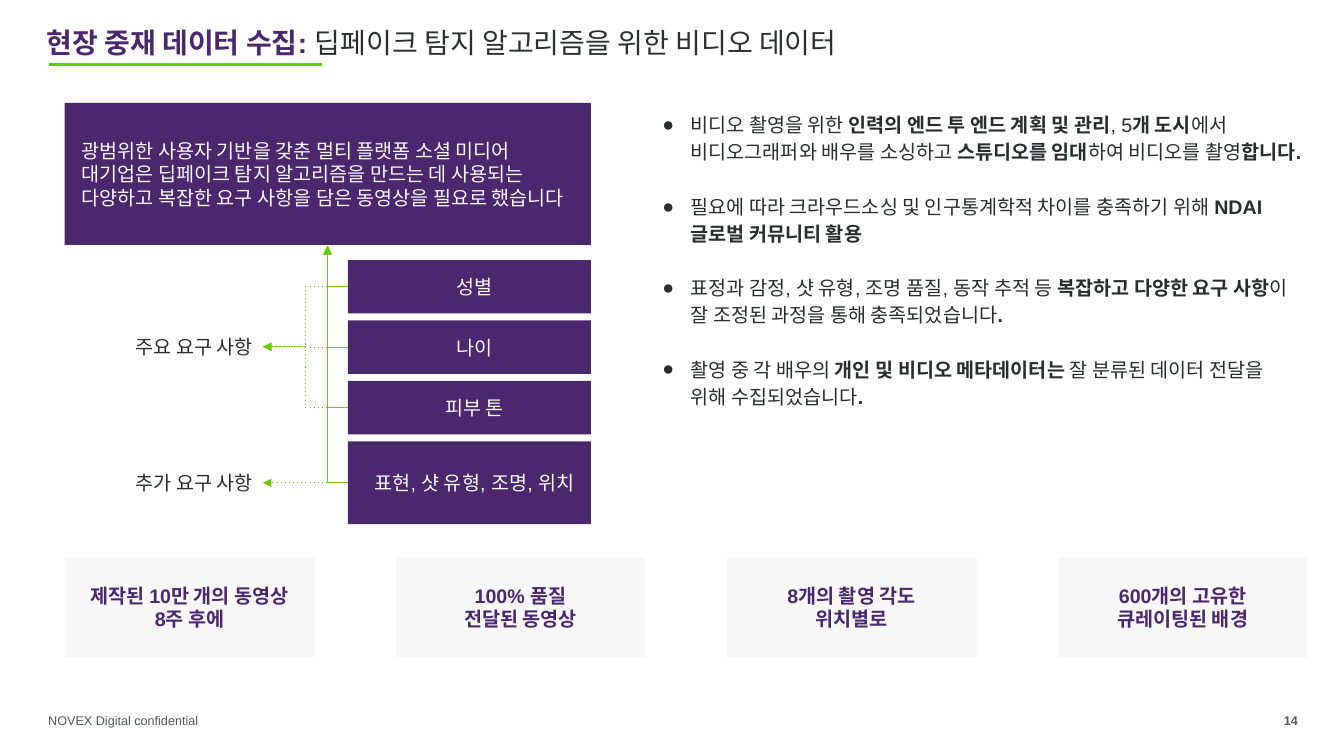
import pptx
import pptx.util
import pptx.dml.color
import pptx.enum.shapes
import pptx.enum.text
import pptx.oxml.ns
from lxml import etree

Inches, Pt = pptx.util.Inches, pptx.util.Pt
RGBColor = pptx.dml.color.RGBColor
ALIGN = pptx.enum.text.PP_ALIGN
ANCHOR = pptx.enum.text.MSO_ANCHOR
qn = pptx.oxml.ns.qn

PURPLE = RGBColor(0x4B, 0x28, 0x6D)
GREEN = RGBColor(0x66, 0xCC, 0x00)
PALE = RGBColor(0xF7, 0xF7, 0xF8)
INK = RGBColor(0x2A, 0x2C, 0x2E)
DARK = RGBColor(0x2C, 0x2E, 0x30)
GRAY = RGBColor(0x54, 0x59, 0x5F)

# Content
TITLE = [("현장 중재 데이터 수집:", True, PURPLE),
         (" 딥페이크 탐지 알고리즘을 위한 비디오 데이터", False, DARK)]
INTRO = ("광범위한 사용자 기반을 갖춘 멀티 플랫폼 소셜 미디어 대기업은 딥페이크 탐지 "
         "알고리즘을 만드는 데 사용되는 다양하고 복잡한 요구 사항을 담은 동영상을 필요로 했습니다")
MAIN = ["성별", "나이", "피부 톤"]
EXTRA = "표현, 샷 유형, 조명, 위치"
LABELS = [("주요 요구 사항", 3.44), ("추가 요구 사항", 4.79)]  # text, centre
POINTS = [  # runs alternate plain, bold
    ["비디오 촬영을 위한", " 인력의 엔드 투 엔드 계획 및 관리", ", 5", "개 도시",
     "에서 비디오그래퍼와 배우를 소싱하고", " 스튜디오를 임대",
     "하여 비디오를 촬영", "합니다."],
    ["필요에 따라 크라우드소싱 및 인구통계학적 차이를 충족하기 위해",
     " NDAI 글로벌 커뮤니티 활용"],
    ["표정과 감정, 샷 유형, 조명 품질, 동작 추적 등", " 복잡하고 다양한 요구 사항",
     "이 잘 조정된 과정을 통해 충족되었습니다", "."],
    ["촬영 중 각 배우의", " 개인 및 비디오 메타데이터는",
     " 잘 분류된 데이터 전달을 위해 수집되었습니다", "."],
]
STATS = [["제작된 10만 개의 동영상", "8주 후에"], ["100% 품질", "전달된 동영상"],
         ["8개의 촬영 각도", "위치별로"], ["600개의 고유한", "큐레이팅된 배경"]]
FOOTER, NUMBER = "NOVEX Digital confidential", "14"

deck = pptx.Presentation()
deck.slide_width, deck.slide_height = Inches(13.33), Inches(7.5)
slide = deck.slides.add_slide(deck.slide_layouts[5])
shapes = slide.shapes


def style(para, size, color, bold=False, align=ALIGN.LEFT):
    para.alignment = align
    font = para.font
    font.name, font.size, font.bold = "Arial", Pt(size), bold
    font.color.rgb = color


def setup(frame, pad, anchor=ANCHOR.MIDDLE, pad_y=None):
    frame.word_wrap = True
    frame.auto_size = pptx.enum.text.MSO_AUTO_SIZE.NONE
    frame.vertical_anchor = anchor
    frame.margin_left = frame.margin_right = Inches(pad)
    frame.margin_top = frame.margin_bottom = Inches(pad if pad_y is None else pad_y)


def write(frame, lines, size, color, bold=False, align=ALIGN.LEFT, indent=0):
    for i, line in enumerate(lines):
        para = frame.add_paragraph() if i else frame.paragraphs[0]
        para.text = line
        if indent:
            para._p.get_or_add_pPr().set("marL", str(Inches(indent)))
        style(para, size, color, bold, align)


def label(text, box, size, color, pad_y, anchor=ANCHOR.MIDDLE, **look):
    frame = shapes.add_textbox(*map(Inches, box)).text_frame
    setup(frame, 0.1, anchor, pad_y)
    write(frame, [text], size, color, **look)


def block(lines, box, fill, color, **look):
    rect = shapes.add_shape(pptx.enum.shapes.MSO_SHAPE.RECTANGLE, *map(Inches, box))
    rect.shadow.inherit = False
    rect.fill.solid()
    rect.fill.fore_color.rgb = fill
    rect.line.fill.background()
    setup(rect.text_frame, 0.07)
    write(rect.text_frame, lines, 14, color, **look)


def link(start, end, kind="bentConnector3", width=0.75, dotted=False, arrow=True):
    line = shapes.add_connector(pptx.enum.shapes.MSO_CONNECTOR.ELBOW,
                                *map(Inches, start + end))
    line.line.color.rgb = GREEN
    line.line.width = Pt(width)
    props = line._element.spPr
    props.find(qn("a:prstGeom")).set("prst", kind)
    ln = props.find(qn("a:ln"))
    if dotted:
        etree.SubElement(ln, qn("a:prstDash")).set("val", "dot")
    if arrow:
        etree.SubElement(ln, qn("a:tailEnd")).set("type", "triangle")
    etree.SubElement(props, qn("a:effectLst"))


# Title and its rule
title = shapes.title
title.left, title.top, title.width, title.height = map(Inches, (0.36, 0.15, 12.06, 0.58))
setup(title.text_frame, 0.1)
head = title.text_frame.paragraphs[0]
head.line_spacing = 0.9
style(head, 20, DARK)
for text, bold, color in TITLE:
    run = head.add_run()
    run.text = text
    run.font.bold = bold
    run.font.color.rgb = color
link((0.49, 0.64), (3.19, 0.64), "line", 1.5, arrow=False)

# Bulleted points
frame = shapes.add_textbox(*map(Inches, (6.4, 1.02, 6.56, 4.17))).text_frame
setup(frame, 0.07, ANCHOR.TOP)
for i, parts in enumerate(POINTS):
    para = frame.add_paragraph() if i else frame.paragraphs[0]
    para.line_spacing = 1.15
    if i:
        para.space_before = Pt(19.5)
    props = para._p.get_or_add_pPr()
    props.set("marL", str(Inches(0.38)))
    props.set("indent", str(Inches(-0.28)))
    tint = etree.SubElement(props, qn("a:buClr"))
    etree.SubElement(tint, qn("a:srgbClr")).set("val", str(INK))
    etree.SubElement(props, qn("a:buFont")).set("typeface", "Arial")
    etree.SubElement(props, qn("a:buChar")).set("char", "●")
    style(para, 14, INK)
    for j, text in enumerate(parts):
        run = para.add_run()
        run.text = text
        run.font.bold = j % 2 == 1

# Requirement blocks
LEFT, WIDE, TOP, HIGH, STEP = 3.45, 2.41, 2.58, 0.53, 0.6
block([INTRO], (0.64, 1.02, 5.22, 1.41), PURPLE, PALE, indent=0.1)
rows = [(text, TOP + i * STEP, HIGH) for i, text in enumerate(MAIN)]
rows.append((EXTRA, 4.38, 0.82))
for text, top, high in rows:
    block([text], (LEFT, top, WIDE, high), PURPLE, PALE, align=ALIGN.CENTER, indent=0.1)
for text, mid in LABELS:
    label(text, (0.36, mid - 0.35, 2.25, 0.7), 14, INK, 0.1, align=ALIGN.RIGHT)

# Arrows up to the intro and across to the labels
for i, (text, top, high) in enumerate(rows):
    mid = top + high / 2
    goal = LABELS[i // len(MAIN)][1]
    link((LEFT, mid), (3.25, 2.44), "bentConnector2")
    link((LEFT, mid), (2.61, goal), dotted=True)

# Result boxes
GAP = (10.49 - 0.64) / (len(STATS) - 1)
for i, lines in enumerate(STATS):
    block(lines, (0.64 + i * GAP, 5.53, 2.48, 0.99), PALE, PURPLE,
          bold=True, align=ALIGN.CENTER)

# Footer
label(FOOTER, (0.38, 7.02, 3.02, 0.25), 9, GRAY, 0.05, ANCHOR.TOP)
label(NUMBER, (12.22, 6.95, 0.75, 0.4), 9, GRAY, 0.05, bold=True, align=ALIGN.RIGHT)

deck.save("out.pptx")
